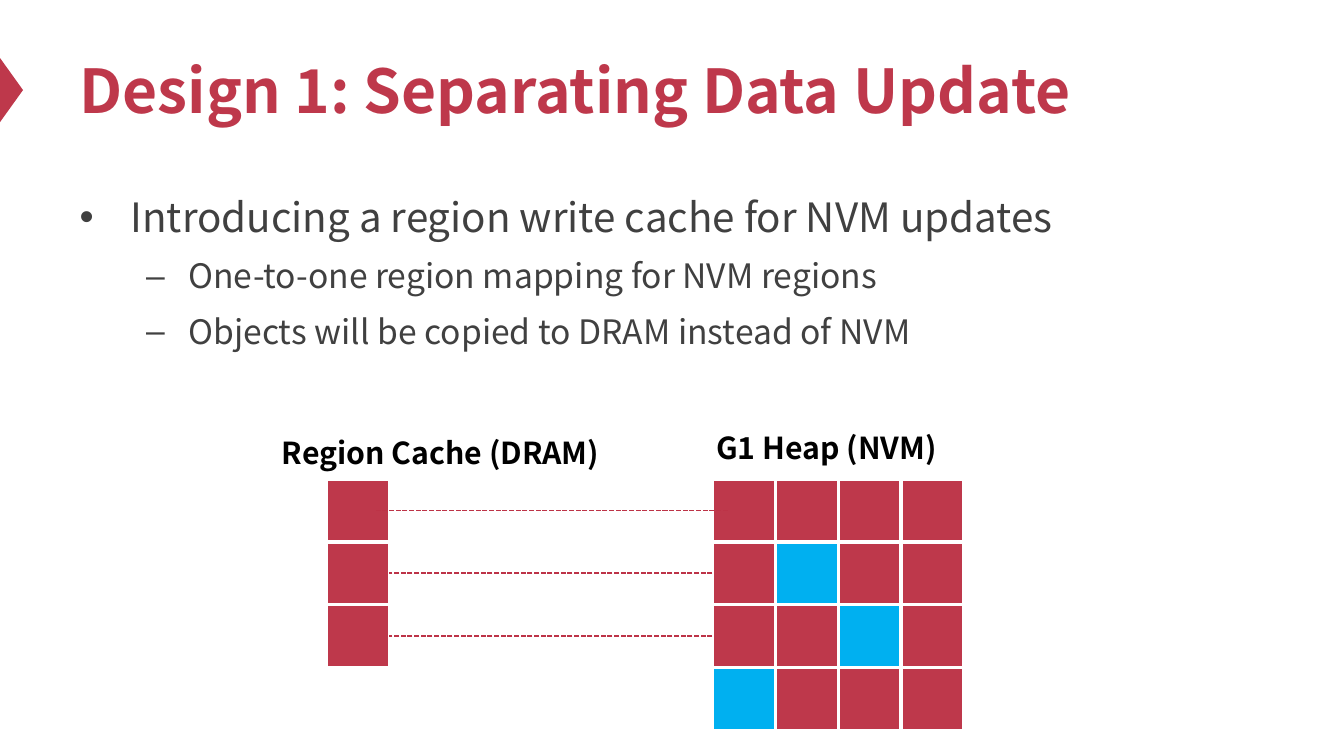
from dataclasses import dataclass
from itertools import product

from lxml.etree import SubElement
from pptx import Presentation
from pptx.dml.color import RGBColor
from pptx.enum.dml import MSO_LINE
from pptx.enum.shapes import MSO_CONNECTOR, MSO_SHAPE
from pptx.enum.text import MSO_ANCHOR
from pptx.oxml.ns import qn
from pptx.util import Inches, Pt


@dataclass(frozen=True)
class Theme:
    font: str = "Noto Sans CJK SC"
    red: RGBColor = RGBColor(0xBE, 0x38, 0x4B)
    link: RGBColor = RGBColor(0xBD, 0x33, 0x47)
    blue: RGBColor = RGBColor(0x00, 0xB0, 0xF0)
    body: RGBColor = RGBColor(0x40, 0x40, 0x40)
    black: RGBColor = RGBColor(0, 0, 0)
    white: RGBColor = RGBColor(255, 255, 255)
    title_size: int = 36
    point_size: int = 24
    detail_size: int = 20
    label_size: int = 18


@dataclass(frozen=True)
class Box:
    left: int
    top: int
    width: int
    height: int


THEME = Theme()
WIDTH, HEIGHT = Inches(11.11), Inches(6.25)

# Paragraph formats by outline level: bullet, margin, hanging indent (inches)
LEVELS = [
    {"bullet": "•", "margin": 0.42, "hang": 0.42, "size": THEME.point_size, "before": 13.3},
    {"bullet": "–", "margin": 0.9, "hang": 0.35, "size": THEME.detail_size, "before": 4},
]
POINTS = [
    (0, "Introducing a region write cache for NVM updates"),
    (1, "One-to-one region mapping for NVM regions"),
    (1, "Objects will be copied to DRAM instead of NVM"),
]
HEAP_SIDE = 4
CACHE_REGIONS = 3
BLUE_REGIONS = {(1, 1), (2, 2), (3, 0)}


def grid_box(left, top, width, height):
    """Box measured on a grid of 100 columns by 100 rows over the slide."""
    col, row = WIDTH / 100, HEIGHT / 100
    return Box(*map(round, (left * col, top * row, width * col, height * row)))


def apply_format(target, values):
    for name, value in values.items():
        setattr(target, name, value)


def add_run(paragraph, text, size, color, bold=False):
    run = paragraph.add_run()
    run.text = text
    apply_format(run.font, {"name": THEME.font, "size": Pt(size), "bold": bold})
    run.font.color.rgb = color


def add_text_frame(slide, box, **values):
    frame = slide.shapes.add_textbox(box.left, box.top, box.width, box.height).text_frame
    apply_format(frame, {"word_wrap": True, **values})
    return frame


def add_block(slide, kind, box, fill):
    block = slide.shapes.add_shape(kind, box.left, box.top, box.width, box.height)
    block.shadow.inherit = False
    block.fill.solid()
    block.fill.fore_color.rgb = fill
    return block


def add_title(slide, box):
    frame = add_text_frame(slide, box, vertical_anchor=MSO_ANCHOR.MIDDLE)
    add_run(frame.paragraphs[0], "Design 1: Separating Data Update",
            THEME.title_size, THEME.red, bold=True)


def add_edge_marker(slide, box):
    marker = add_block(slide, MSO_SHAPE.ISOSCELES_TRIANGLE, box, THEME.red)
    marker.rotation = 90
    marker.line.fill.background()


def add_points(slide, box):
    frame = add_text_frame(slide, box)
    for index, (level, text) in enumerate(POINTS):
        paragraph = frame.add_paragraph() if index else frame.paragraphs[0]
        style = LEVELS[level]
        apply_format(paragraph, {"level": level, "line_spacing": 1.2,
                                 "space_before": Pt(style["before"])})
        add_run(paragraph, text, style["size"], THEME.body)
        # Hanging bullet
        properties = paragraph._p.get_or_add_pPr()
        properties.set("marL", str(Inches(style["margin"])))
        properties.set("indent", str(-Inches(style["hang"])))
        SubElement(properties, qn("a:buFont"), typeface="Arial")
        SubElement(properties, qn("a:buChar"), char=style["bullet"])


def add_region(slide, left, top, side, fill):
    region = add_block(slide, MSO_SHAPE.RECTANGLE, Box(left, top, side, side), fill)
    region.line.color.rgb = THEME.white
    region.line.width = Pt(2)


def add_label(slide, box, text):
    frame = add_text_frame(slide, box, word_wrap=False)
    add_run(frame.paragraphs[0], text, THEME.label_size, THEME.black, bold=True)


def add_mapping(slide, start, end, y):
    mapping = slide.shapes.add_connector(MSO_CONNECTOR.STRAIGHT, start, y, end, y)
    mapping.line.color.rgb = THEME.link
    apply_format(mapping.line, {"width": Pt(1), "dash_style": MSO_LINE.SQUARE_DOT})
    SubElement(mapping._element.spPr, qn("a:effectLst"))


def add_memory_diagram(slide, box):
    side = box.height // HEAP_SIDE
    heap_left = box.left + box.width - HEAP_SIDE * side

    def cells(count):
        return round(count * side)

    # Heap and cache regions
    for row, column in product(range(HEAP_SIDE), repeat=2):
        fill = THEME.blue if (row, column) in BLUE_REGIONS else THEME.red
        add_region(slide, heap_left + column * side, box.top + row * side, side, fill)
    for row in range(CACHE_REGIONS):
        add_region(slide, box.left, box.top + row * side, side, THEME.red)

    # Labels above the regions
    add_label(slide, Box(heap_left - cells(0.13), box.top - cells(0.88),
                         cells(4.27), cells(0.77)), "G1 Heap (NVM)")
    add_label(slide, Box(box.left - cells(0.9), box.top - cells(0.81),
                         cells(5.81), cells(0.77)), "Region Cache (DRAM)")

    # One-to-one mappings; the first reaches into its regions
    for row in range(CACHE_REGIONS):
        reach = 0 if row else cells(0.24)
        add_mapping(slide, heap_left + reach, box.left + side - reach,
                    box.top + cells(row + 0.5))


def main():
    presentation = Presentation()
    apply_format(presentation, {"slide_width": WIDTH, "slide_height": HEIGHT})
    slide = presentation.slides.add_slide(presentation.slide_layouts[6])
    add_edge_marker(slide, grid_box(-1.53, 10.4, 4.77, 3.04))
    add_title(slide, grid_box(5.04, 4, 90, 15.68))
    add_points(slide, grid_box(5.04, 23.36, 90, 65.92))
    add_memory_diagram(slide, grid_box(24.3, 63.36, 47.43, 33.28))
    presentation.save("out.pptx")


if __name__ == "__main__":
    main()
